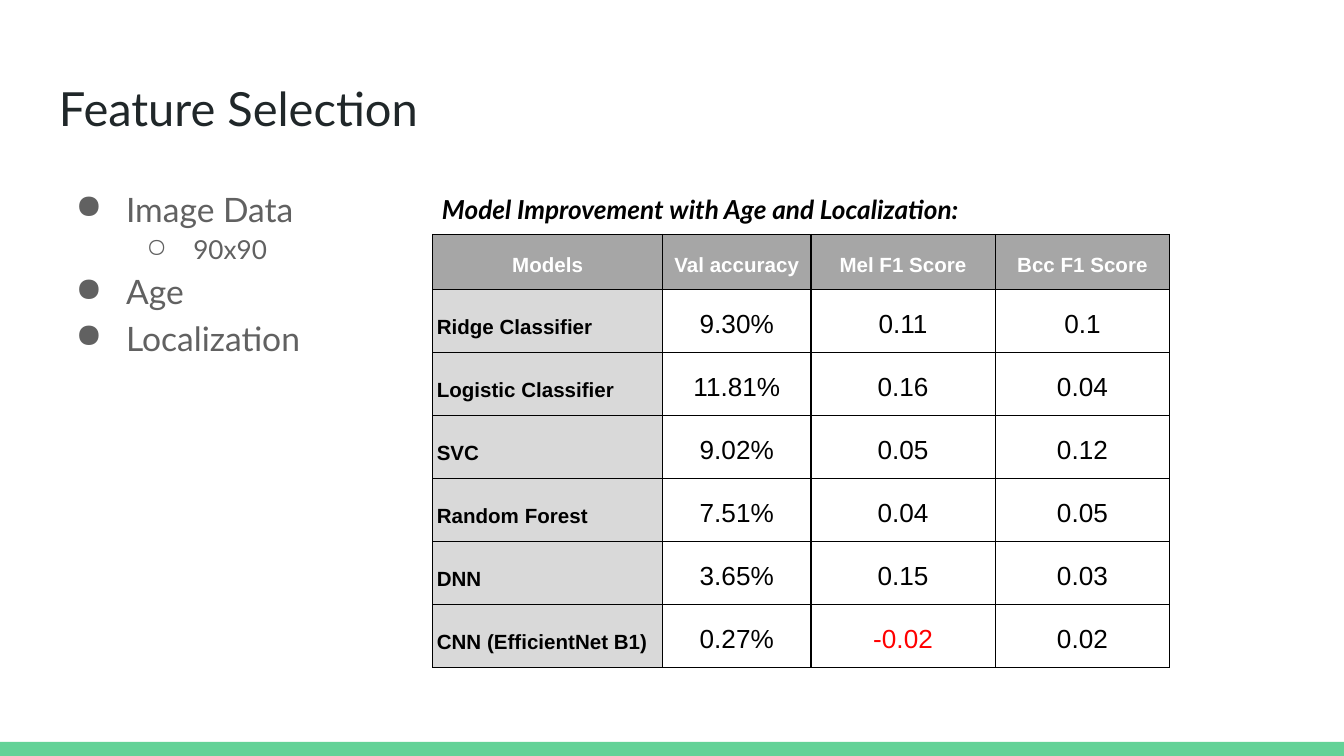
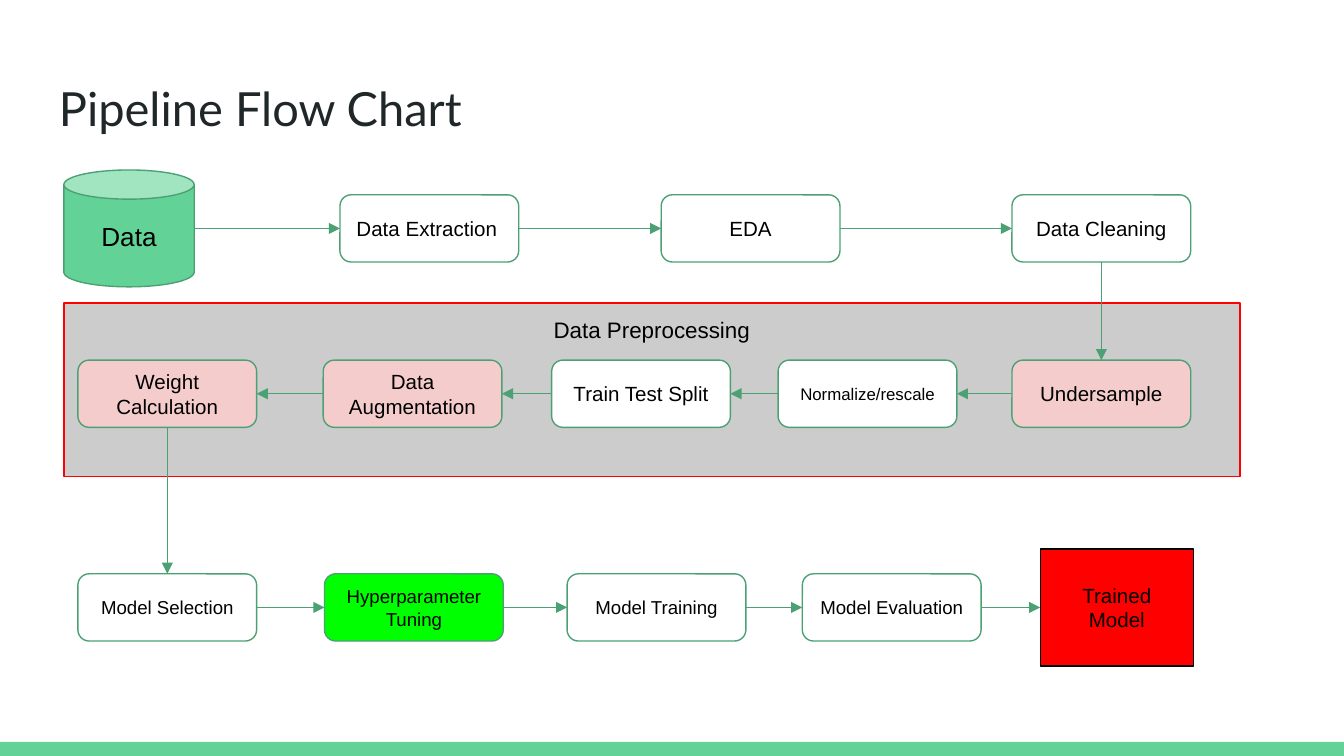
"""Build two slides: a feature selection table and a pipeline flow chart."""
from dataclasses import dataclass
from itertools import pairwise
from typing import Optional

from lxml.etree import SubElement
from pptx import Presentation
from pptx.dml.color import RGBColor
from pptx.enum.shapes import MSO_CONNECTOR, MSO_SHAPE
from pptx.enum.text import MSO_ANCHOR, PP_ALIGN
from pptx.oxml import parse_xml
from pptx.oxml.ns import nsdecls, qn
from pptx.util import Emu, Inches, Pt

WIDTH, HEIGHT = Inches(10), Inches(5.625)
COLUMNS = 100
CELL = WIDTH / COLUMNS

GREEN = RGBColor(0x63, 0xD2, 0x97)
DARK_GREEN = RGBColor(0x4B, 0xA1, 0x73)
LIME = RGBColor(0x00, 0xFF, 0x00)
INK = RGBColor(0x20, 0x27, 0x29)
BODY_GREY = RGBColor(0x61, 0x61, 0x61)
HEADER_GREY = RGBColor(0xA6, 0xA6, 0xA6)
LABEL_GREY = RGBColor(0xD9, 0xD9, 0xD9)
PANEL_GREY = RGBColor(0xCC, 0xCC, 0xCC)
PINK = RGBColor(0xF4, 0xCC, 0xCC)
RED = RGBColor(0xFF, 0x00, 0x00)
BLACK = RGBColor(0x00, 0x00, 0x00)
WHITE = RGBColor(0xFF, 0xFF, 0xFF)

TOP, LEFT, BOTTOM, RIGHT = range(4)
BOX_W, BOX_H = 13.3, 5
EXTRACT_ROW, PREPARE_ROW, MODEL_ROW = 14.5, 26.8, 42.7


@dataclass(frozen=True)
class Area:
    """A place on the slide in grid cells."""
    x: float
    y: float
    w: float
    h: float

    def emu(self) -> tuple[Emu, ...]:
        """Return left, top, width and height as lengths."""
        return tuple(cells(n) for n in (self.x, self.y, self.w, self.h))


@dataclass(frozen=True)
class Style:
    """The look of a run of text."""
    size: float
    color: RGBColor = BLACK
    font: str = "Arial"
    bold: bool = False
    italic: bool = False


@dataclass(frozen=True)
class Bullet:
    """A bulleted line with its level, mark, size and indent in cells."""
    text: str
    level: int = 0
    mark: str = "●"
    size: float = 18
    hang: float = 3.75


@dataclass(frozen=True)
class Box:
    """A step of the pipeline."""
    text: str
    area: Area
    size: float = 11
    fill: Optional[RGBColor] = None
    line: Optional[RGBColor] = DARK_GREEN
    kind: MSO_SHAPE = MSO_SHAPE.ROUNDED_RECTANGLE
    align: PP_ALIGN = PP_ALIGN.CENTER
    anchor: MSO_ANCHOR = MSO_ANCHOR.MIDDLE


def cells(n: float) -> Emu:
    """Convert grid cells to a length."""
    return Emu(round(n * CELL))


def add_run(p, text: str, style: Style) -> None:
    """Add one styled run to a paragraph."""
    r = p.add_run()
    r.text = text
    f = r.font
    f.name, f.size, f.bold, f.italic = style.font, Pt(style.size), style.bold, style.italic
    f.color.rgb = style.color


def set_frame(tf) -> None:
    """Wrap a text frame and give it equal insets."""
    tf.word_wrap = True
    tf.margin_left = tf.margin_right = tf.margin_top = tf.margin_bottom = cells(1)


def add_text(s, area: Area):
    """Add an empty text box and return its frame."""
    tf = s.shapes.add_textbox(*area.emu()).text_frame
    set_frame(tf)
    return tf


def add_box(s, box: Box):
    """Draw one shape with its text."""
    sp = s.shapes.add_shape(box.kind, *box.area.emu())
    sp.shadow.inherit = False
    if box.fill is None:
        sp.fill.background()
    else:
        sp.fill.solid()
        sp.fill.fore_color.rgb = box.fill
    if box.line is None:
        sp.line.fill.background()
    else:
        sp.line.color.rgb = box.line
        sp.line.width = Pt(0.75)
    if box.text:
        tf = sp.text_frame
        set_frame(tf)
        tf.vertical_anchor = box.anchor
        p = tf.paragraphs[0]
        p.alignment = box.align
        add_run(p, box.text, Style(box.size))
    return sp


def add_arrow(s, start, start_side: int, end, end_side: int) -> None:
    """Join the sides of two shapes with an arrow."""
    y = start.top + start.height // 2
    c = s.shapes.add_connector(MSO_CONNECTOR.STRAIGHT, start.left + start.width, y, end.left, y)
    if start.auto_shape_type != MSO_SHAPE.CAN:
        c.begin_connect(start, start_side)
    c.end_connect(end, end_side)
    c.line.color.rgb = DARK_GREEN
    c.line.width = Pt(0.75)
    sp_pr = c.element.spPr
    SubElement(sp_pr.find(qn("a:ln")), qn("a:tailEnd"), type="triangle")
    SubElement(sp_pr, qn("a:effectLst"))


def add_slide(prs, title: str):
    """Add a blank slide with the shared band and title."""
    s = prs.slides.add_slide(prs.slide_layouts[6])
    band = Area(0, 55.2, COLUMNS, 1.05)
    add_box(s, Box("", band, fill=GREEN, line=None, kind=MSO_SHAPE.RECTANGLE))
    tf = add_text(s, Area(3.4, 4.9, 93.2, 6.3))
    add_run(tf.paragraphs[0], title, Style(25.2, INK, "Lato"))
    return s


def add_bullets(s, area: Area, bullets: list[Bullet]) -> None:
    """Write a bulleted list."""
    tf = add_text(s, area)
    for i, b in enumerate(bullets):
        p = tf.add_paragraph() if i else tf.paragraphs[0]
        p.level = b.level
        p.line_spacing = 1.15
        add_run(p, b.text, Style(b.size, BODY_GREY, "Lato"))
        p_pr = p._p.get_or_add_pPr()
        p_pr.set("marL", str(cells(5 * (b.level + 1))))
        p_pr.set("indent", str(-cells(b.hang)))
        color = SubElement(p_pr, qn("a:buClr"))
        SubElement(color, qn("a:srgbClr"), val=str(BODY_GREY))
        SubElement(p_pr, qn("a:buChar"), char=b.mark)


def fill_cell(cell, text: str, style: Style, align: PP_ALIGN, fill: Optional[RGBColor]) -> None:
    """Write, fill and frame one table cell."""
    cell.margin_left = cell.margin_right = cells(0.3)
    cell.margin_top = cell.margin_bottom = cells(1)
    cell.vertical_anchor = MSO_ANCHOR.BOTTOM
    p = cell.text_frame.paragraphs[0]
    p.alignment, p.line_spacing = align, 1.15
    add_run(p, text, style)
    tc_pr = cell._tc.get_or_add_tcPr()
    for side in ("lnL", "lnR", "lnT", "lnB"):
        tc_pr.append(parse_xml(
            f'<a:{side} {nsdecls("a")} w="{Pt(0.75)}"><a:solidFill>'
            f'<a:srgbClr val="{BLACK}"/></a:solidFill></a:{side}>'))
    if fill is None:
        cell.fill.background()
    else:
        cell.fill.solid()
        cell.fill.fore_color.rgb = fill


def add_scores(s, x: float, y: float, rows: list[tuple[str, ...]]) -> None:
    """Add the table of model improvements."""
    widths = (17.1, 11.05, 13.7, 13)
    heights = [3.9] + [4.5] * (len(rows) - 1)
    area = Area(x, y, sum(widths), sum(heights))
    table = s.shapes.add_table(len(rows), len(widths), *area.emu()).table
    table.first_row = table.horz_banding = False
    for column, w in zip(table.columns, widths):
        column.width = cells(w)
    for row, h in zip(table.rows, heights):
        row.height = cells(h)
    for i, row in enumerate(rows):
        for j, text in enumerate(row):
            style, align, fill = Style(14), PP_ALIGN.CENTER, None
            if i == 0:
                style, fill = Style(11, WHITE, bold=True), HEADER_GREY
            elif j == 0:
                style, align, fill = Style(11, bold=True), PP_ALIGN.LEFT, LABEL_GREY
            elif text.startswith("-"):
                style = Style(14, RED)
            fill_cell(table.cell(i, j), text, style, align, fill)


def build_features(prs) -> None:
    """Build the feature selection slide."""
    s = add_slide(prs, "Feature Selection")
    add_bullets(s, Area(3.4, 12.6, 28, 37.4), [
        Bullet("Image Data"),
        Bullet("90x90", 1, "○", 14, 3.5),
        Bullet("Age"),
        Bullet("Localization"),
    ])
    add_scores(s, 32.2, 17.45, [
        ("Models", "Val accuracy", "Mel F1 Score", "Bcc F1 Score"),
        ("Ridge Classifier", "9.30%", "0.11", "0.1"),
        ("Logistic Classifier", "11.81%", "0.16", "0.04"),
        ("SVC", "9.02%", "0.05", "0.12"),
        ("Random Forest", "7.51%", "0.04", "0.05"),
        ("DNN", "3.65%", "0.15", "0.03"),
        ("CNN (EfficientNet B1)", "0.27%", "-0.02", "0.02"),
    ])
    tf = add_text(s, Area(31.9, 13.4, 48.7, 4.4))
    add_run(tf.paragraphs[0], "Model Improvement with Age and Localization:",
            Style(14, font="Lato", bold=True, italic=True))


def step(text: str, x: float, y: float, size: float = 11, fill: Optional[RGBColor] = None,
         align: PP_ALIGN = PP_ALIGN.CENTER) -> Box:
    """Describe a step of the standard size."""
    return Box(text, Area(x, y, BOX_W, BOX_H), size, fill, align=align)


def build_pipeline(prs) -> None:
    """Build the pipeline flow chart slide."""
    s = add_slide(prs, "Pipeline Flow Chart")
    add_box(s, Box("Data Preprocessing", Area(4.75, 22.55, 87.5, 12.9), 12, PANEL_GREY, RED,
                   MSO_SHAPE.RECTANGLE, anchor=MSO_ANCHOR.TOP))
    extract = [
        Box("Data", Area(4.75, 12.65, 9.7, 8.7), 14, GREEN, kind=MSO_SHAPE.CAN),
        step("Data Extraction", 25.3, EXTRACT_ROW, align=PP_ALIGN.LEFT),
        step("EDA", 49.2, EXTRACT_ROW),
        step("Data Cleaning", 75.3, EXTRACT_ROW),
    ]
    prepare = [
        step("Undersample", 75.3, PREPARE_ROW, fill=PINK),
        step("Normalize/rescale", 57.9, PREPARE_ROW, 9, WHITE),
        step("Train Test Split", 41.05, PREPARE_ROW, fill=WHITE),
        step("Data Augmentation", 24.05, PREPARE_ROW, fill=PINK),
        step("Weight Calculation", 5.8, PREPARE_ROW, fill=PINK),
    ]
    model = [
        step("Model Selection", 5.8, MODEL_ROW, 10),
        step("Hyperparameter Tuning", 24.15, MODEL_ROW, 10, LIME),
        step("Model Training", 42.2, MODEL_ROW, 10),
        step("Model Evaluation", 59.7, MODEL_ROW, 10),
        Box("Trained Model", Area(77.4, 40.85, 11.4, 8.7), 11, RED, BLACK, MSO_SHAPE.RECTANGLE),
    ]
    rows = [[add_box(s, box) for box in row] for row in (extract, prepare, model)]
    for row, (out, into) in zip(rows, ((RIGHT, LEFT), (LEFT, RIGHT), (RIGHT, LEFT))):
        for a, b in pairwise(row):
            add_arrow(s, a, out, b, into)
    for upper, lower in pairwise(rows):
        add_arrow(s, upper[-1], BOTTOM, lower[0], TOP)


def main() -> None:
    """Build and save the presentation."""
    prs = Presentation()
    prs.slide_width, prs.slide_height = WIDTH, HEIGHT
    build_features(prs)
    build_pipeline(prs)
    prs.save("out.pptx")


if __name__ == "__main__":
    main()
